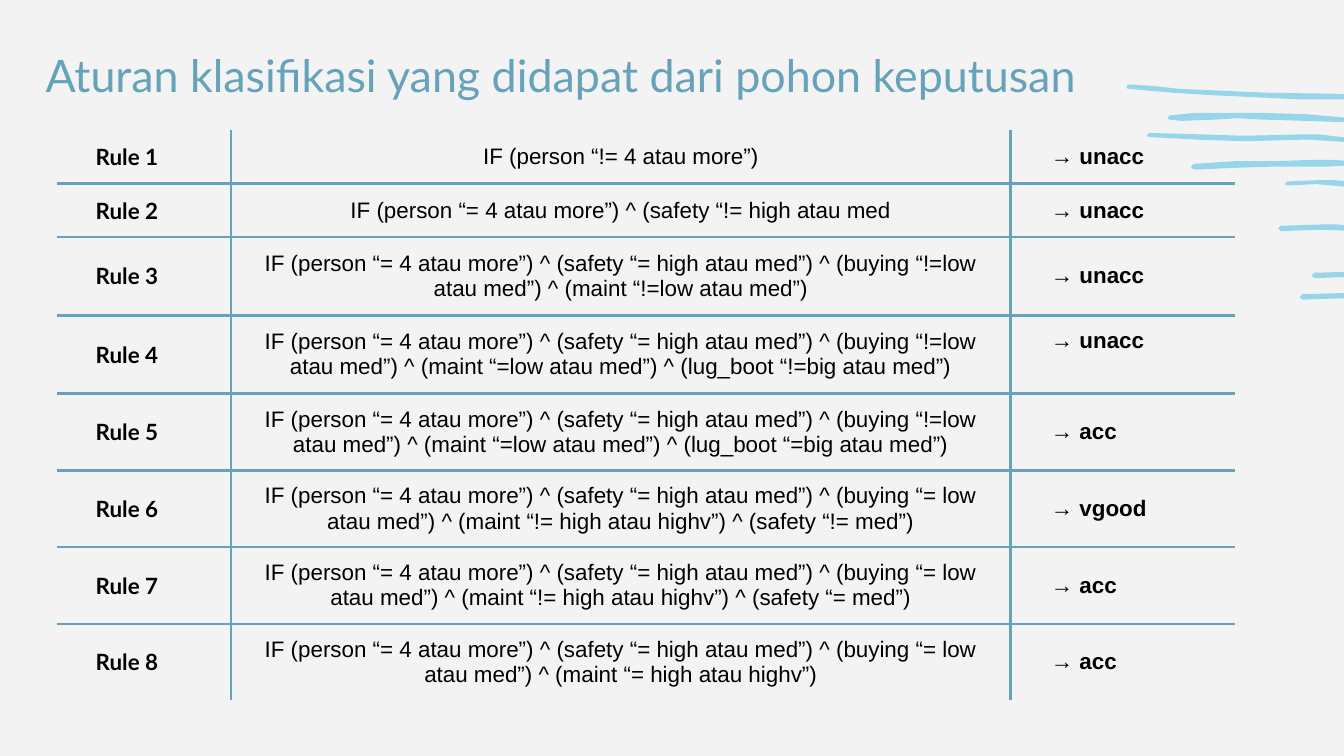
from dataclasses import dataclass

import lxml.etree
import pptx
import pptx.dml.color
import pptx.enum.text
import pptx.oxml.ns
import pptx.util
from pptx.util import Cm, Pt

BLUE, SKY, PAPER, BLACK = "66A2B9", "97D5EA", "F3F3F3", "000000"
STROKE_UNIT = Cm(2.54) / 100  # stroke points are hundredths of an inch
MIDDLE = pptx.enum.text.MSO_ANCHOR.MIDDLE
TOP = pptx.enum.text.MSO_ANCHOR.TOP
CENTER = pptx.enum.text.PP_ALIGN.CENTER
LEFT = pptx.enum.text.PP_ALIGN.LEFT


@dataclass
class Rule:
    condition: str
    outcome: str
    height: float = 1.45
    outcome_anchor: int = MIDDLE


@dataclass
class CellStyle:
    font: str
    bold: bool
    alignment: int
    left: float = 0.25
    right: float = 0.25


BASE = "IF (person “= 4 atau more”) ^ (safety “= high atau med”) ^ (buying "
NOT_LOW = BASE + "“!=low atau med”) ^ "
LOW = BASE + "“= low atau med”) ^ "
RULES = [
    Rule("IF (person “!= 4 atau more”)", "unacc", 1.01),
    Rule("IF (person “= 4 atau more”) ^ (safety “!= high atau med", "unacc", 1.01),
    Rule(NOT_LOW + "(maint “!=low atau med”)", "unacc", 1.48),
    Rule(NOT_LOW + "(maint “=low atau med”) ^ (lug_boot “!=big atau med”)",
         "unacc", 1.48, TOP),
    Rule(NOT_LOW + "(maint “=low atau med”) ^ (lug_boot “=big atau med”)", "acc"),
    Rule(LOW + "(maint “!= high atau highv”) ^ (safety “!= med”)", "vgood"),
    Rule(LOW + "(maint “!= high atau highv”) ^ (safety “= med”)", "acc"),
    Rule(LOW + "(maint “= high atau highv”)", "acc"),
]
COLUMN_WIDTHS = [3.3, 14.73, 4.24]
NAME_STYLE = CellStyle("Lato", True, CENTER, right=0.89)
CONDITION_STYLE = CellStyle("Arial", False, CENTER)
OUTCOME_STYLE = CellStyle("Arial", False, LEFT, left=0.76)

# Outlines of the brush strokes
LONG_STROKES = [
    [(1002, 139), (1006, 138), (1006, 135), (991, 134), (982, 134), (958, 135),
     (956, 137), (958, 138), (980, 137)],
    [(895, 126), (917, 125), (948, 124), (977, 124), (989, 124), (1006, 123),
     (1006, 120), (992, 119), (976, 119), (947, 120), (918, 120), (888, 122),
     (886, 124), (888, 126)],
    [(1006, 106), (1007, 104), (1006, 103), (981, 100), (970, 100), (931, 101),
     (922, 101), (893, 100), (857, 99), (855, 99), (853, 101), (855, 102),
     (893, 104), (922, 105), (931, 105), (968, 104), (975, 104)],
    [(1001, 91), (1006, 91), (1006, 88), (972, 85), (938, 84), (918, 84),
     (904, 84), (889, 84), (870, 86), (869, 88), (870, 89), (879, 90),
     (904, 89), (921, 88), (938, 89), (972, 90)],
    [(989, 74), (1006, 74), (1006, 70), (941, 69), (876, 66), (858, 64),
     (842, 63), (839, 63), (838, 65), (839, 66), (872, 69), (904, 71), (969, 74)],
]
SHORT_STROKE = [(59, 5), (64, 5), (64, 2), (44, 0), (34, 0), (2, 1), (0, 3),
                (2, 5), (30, 4), (33, 4)]
SHORT_STROKE_PLACES = [(951, 167), (967, 218), (976, 202)]


def color(value: str) -> pptx.dml.color.RGBColor:
    return pptx.dml.color.RGBColor.from_string(value)


def draw_stroke(shapes, points: list[tuple[int, int]]) -> None:
    builder = shapes.build_freeform(*points[0], scale=STROKE_UNIT)
    builder.add_line_segments(points[1:], close=True)
    shape = builder.convert_to_shape()
    shape.shadow.inherit = False
    shape.fill.solid()
    shape.fill.fore_color.rgb = color(SKY)
    shape.line.fill.background()


def set_borders(cell, sides: dict[str, bool]) -> None:
    properties = cell._tc.get_or_add_tcPr()
    qn = pptx.oxml.ns.qn
    for position, (side, visible) in enumerate(sides.items()):
        line = lxml.etree.Element(qn(f"a:{side}"), w=str(Pt(1.5)))
        if visible:
            fill = lxml.etree.SubElement(line, qn("a:solidFill"))
            lxml.etree.SubElement(fill, qn("a:srgbClr"), val=BLUE)
        else:
            lxml.etree.SubElement(line, qn("a:noFill"))
        properties.insert(position, line)


def fill_cell(cell, runs: list[str], style: CellStyle, anchor: int = MIDDLE) -> None:
    cell.fill.background()
    cell.vertical_anchor = anchor
    cell.margin_left, cell.margin_right = Cm(style.left), Cm(style.right)
    cell.margin_top = cell.margin_bottom = Cm(0.25)
    paragraph = cell.text_frame.paragraphs[0]
    paragraph.alignment = style.alignment
    paragraph.font.size = Pt(12)
    paragraph.font.name = style.font
    paragraph.font.bold = style.bold
    paragraph.font.color.rgb = color(BLACK)
    for index, text in enumerate(runs):
        run = paragraph.add_run()
        run.text = text
        run.font.size = Pt(12)
        run.font.name = style.font
        run.font.bold = style.bold or index > 0
        run.font.color.rgb = color(BLACK)


def draw_rules(slide, rules: list[Rule]) -> None:
    table = slide.shapes.add_table(
        len(rules), len(COLUMN_WIDTHS), Cm(1.07), Cm(2.46),
        Cm(sum(COLUMN_WIDTHS)), Cm(sum(rule.height for rule in rules))).table
    table.first_row = table.horz_banding = False
    for column, width in zip(table.columns, COLUMN_WIDTHS):
        column.width = Cm(width)
    last_row, last_column = len(rules) - 1, len(COLUMN_WIDTHS) - 1
    for row, rule in enumerate(rules):
        table.rows[row].height = Cm(rule.height)
        fill_cell(table.cell(row, 0), [f"Rule {row + 1}"], NAME_STYLE)
        fill_cell(table.cell(row, 1), [rule.condition], CONDITION_STYLE)
        fill_cell(table.cell(row, 2), ["→ ", rule.outcome], OUTCOME_STYLE,
                  rule.outcome_anchor)
        for column in range(len(COLUMN_WIDTHS)):
            set_borders(table.cell(row, column), {
                "lnL": column > 0, "lnR": column < last_column,
                "lnT": row > 0, "lnB": row < last_row})


def format_title(title, text: str) -> None:
    title.left, title.top = Cm(0.61), Cm(0.66)
    title.width, title.height = Cm(21.67), Cm(2.03)
    frame = title.text_frame
    frame.text = text
    frame.word_wrap = True
    frame.auto_size = pptx.enum.text.MSO_AUTO_SIZE.NONE
    frame.vertical_anchor = TOP
    frame.margin_left = frame.margin_right = Cm(0.25)
    frame.margin_top = frame.margin_bottom = Cm(0.25)
    paragraph = frame.paragraphs[0]
    paragraph.alignment = LEFT
    paragraph.font.size = Pt(24)
    paragraph.font.name = "Lato"
    paragraph.font.color.rgb = color(BLUE)


def main() -> None:
    presentation = pptx.Presentation()
    presentation.slide_width, presentation.slide_height = Cm(25.4), Cm(14.29)
    slide = presentation.slides.add_slide(presentation.slide_layouts[5])
    slide.background.fill.solid()
    slide.background.fill.fore_color.rgb = color(PAPER)

    # Brush strokes at the right edge
    strokes = slide.shapes.add_group_shape().shapes
    for points in LONG_STROKES:
        draw_stroke(strokes, points)
    for left, top in SHORT_STROKE_PLACES:
        draw_stroke(strokes, [(left + x, top + y) for x, y in SHORT_STROKE])

    # Title and rules
    format_title(slide.shapes.title,
                 "Aturan klasifikasi yang didapat dari pohon keputusan")
    draw_rules(slide, RULES)
    presentation.save("out.pptx")


if __name__ == "__main__":
    main()
